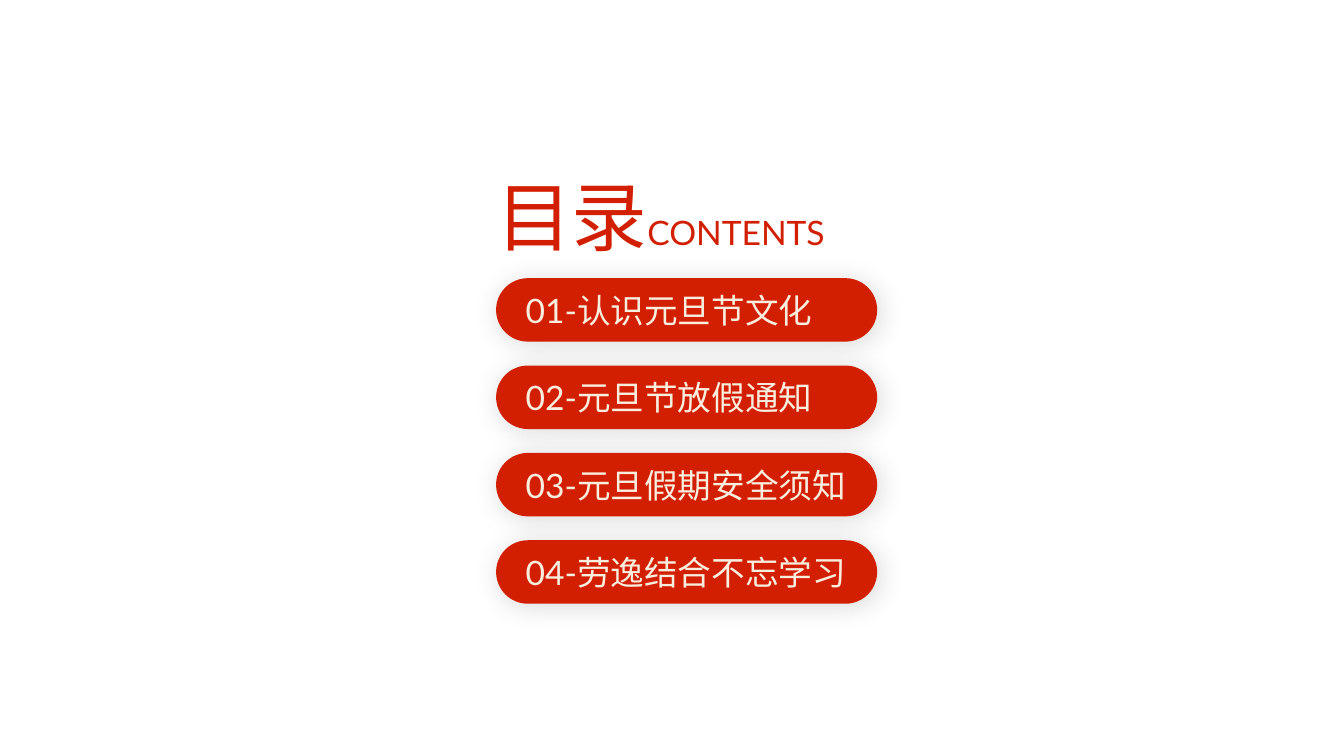
import pptx
import pptx.util
import pptx.oxml
import pptx.oxml.ns
import pptx.dml.color
import pptx.enum.shapes
import pptx.enum.text

Inches = pptx.util.Inches
Pt = pptx.util.Pt
FONT = "Lato"
COLORS = {"red": "D21F01", "cream": "F9EDE0", "shade": "000000"}
ITEMS = ["认识元旦节文化", "元旦节放假通知", "元旦假期安全须知", "劳逸结合不忘学习"]


def tint(name):
    return pptx.dml.color.RGBColor.from_string(COLORS[name])


def add_run(para, text, size, color):
    run = para.add_run()
    run.text = text
    run.font.name = FONT
    run.font.size = Pt(size)
    run.font.color.rgb = tint(color)
    east = pptx.oxml.parse_xml(
        f'<a:ea {pptx.oxml.ns.nsdecls("a")} typeface="{FONT}"/>')
    run.font._element.find(pptx.oxml.ns.qn("a:latin")).addnext(east)


def set_frame(frame):
    frame.word_wrap = True
    frame.vertical_anchor = pptx.enum.text.MSO_ANCHOR.MIDDLE
    para = frame.paragraphs[0]
    para.alignment = pptx.enum.text.PP_ALIGN.JUSTIFY
    return para


def add_shadow(shape):
    shape.shadow.inherit = False
    effects = shape._element.spPr.find(pptx.oxml.ns.qn("a:effectLst"))
    effects.append(pptx.oxml.parse_xml(
        f'<a:outerShdw {pptx.oxml.ns.nsdecls("a")} blurRad="{Pt(20)}" '
        f'dist="{Pt(3)}" dir="{45 * 60000}" algn="tl" rotWithShape="0">'
        f'<a:srgbClr val="{COLORS["shade"]}"><a:alpha val="15000"/></a:srgbClr>'
        '</a:outerShdw>'))


def add_title(slide, left, top, width, height):
    title = slide.shapes.title
    title.left, title.top = Inches(left), Inches(top)
    title.width, title.height = Inches(width), Inches(height)
    para = set_frame(title.text_frame)
    title.text_frame.auto_size = pptx.enum.text.MSO_AUTO_SIZE.SHAPE_TO_FIT_TEXT
    add_run(para, "目录", 54, "red")
    add_run(para, "CONTENTS", 24, "red")


def add_list(slide, left, top, width, height):
    tall = 0.63
    step = (height - tall) / (len(ITEMS) - 1)
    for i, item in enumerate(ITEMS):
        pill = slide.shapes.add_shape(
            pptx.enum.shapes.MSO_SHAPE.ROUNDED_RECTANGLE,
            Inches(left), Inches(top + i * step), Inches(width), Inches(tall))
        pill.adjustments[0] = 0.5
        pill.fill.solid()
        pill.fill.fore_color.rgb = tint("red")
        pill.line.fill.background()
        add_shadow(pill)
        para = set_frame(pill.text_frame)
        pill.text_frame.margin_left = Inches(0.2)
        add_run(para, f"{i + 1:02d}-{item}", 24, "cream")


def main():
    deck = pptx.Presentation()
    deck.slide_width, deck.slide_height = Inches(13.33), Inches(7.5)
    slide = deck.slides.add_slide(deck.slide_layouts[5])
    # Heading
    add_title(slide, 4.82, 1.63, 3.9, 1.01)
    # Numbered sections
    add_list(slide, 4.92, 2.76, 3.78, 3.23)
    deck.save("out.pptx")


if __name__ == "__main__":
    main()
